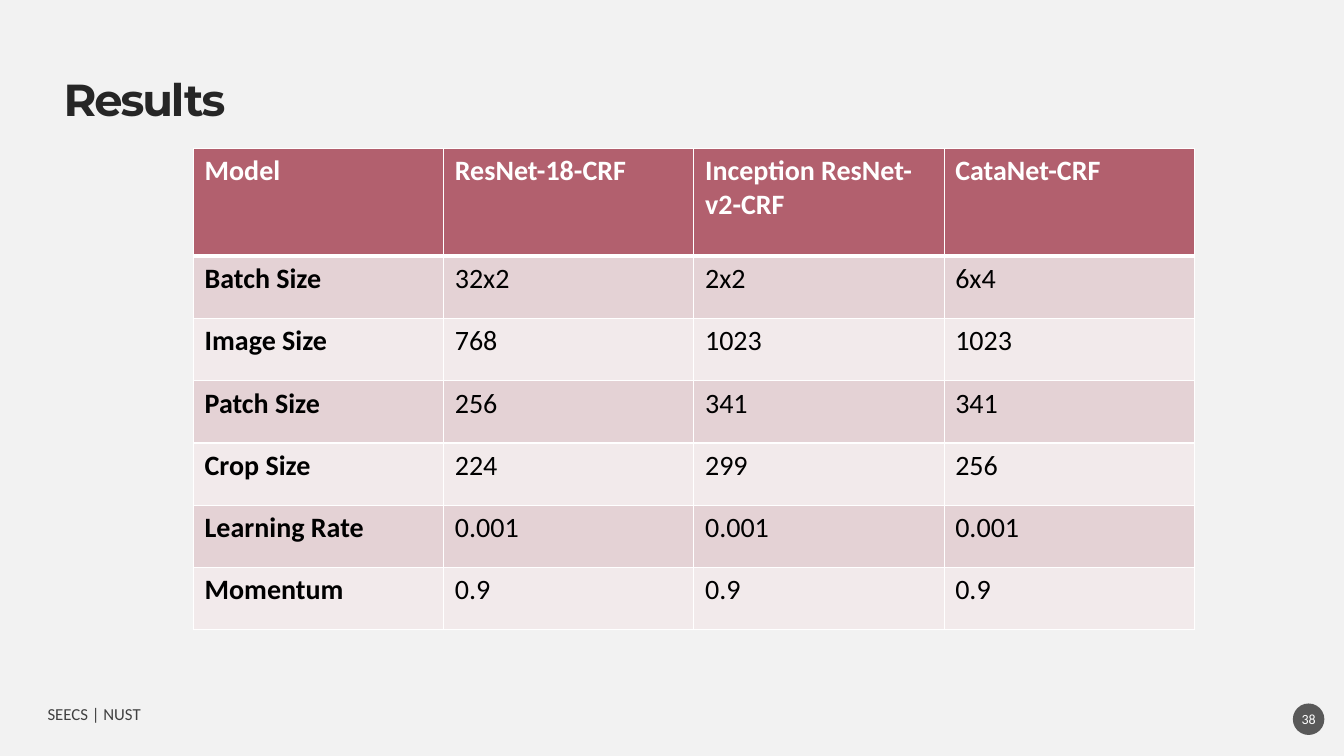
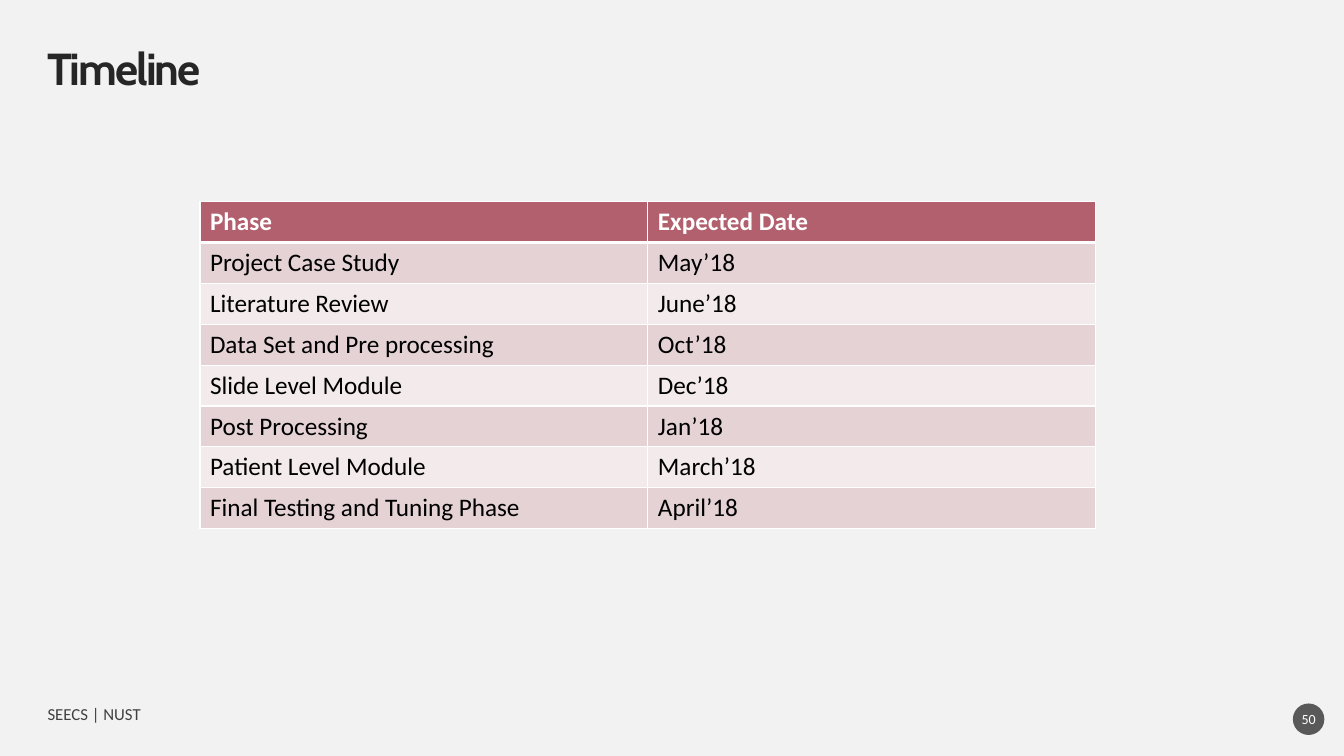
from lxml import etree
from pptx import Presentation
from pptx import util as u
from pptx.dml.color import RGBColor
from pptx.enum import shapes, text
from pptx.oxml import ns

COLORS = {
    "background": "F2F2F2",
    "title": "262626",
    "footer": "404040",
    "badge": "595959",
    "header": "B2606E",
    "band_dark": "E4D2D5",
    "band_light": "F2EAEB",
    "body": "000000",
    "white": "FFFFFF",
}
BODY_FONT = "Calibri"

MODEL_ROWS = [
    ["Model", "ResNet-18-CRF", "Inception ResNet-v2-CRF", "CataNet-CRF"],
    ["Batch Size", "32x2", "2x2", "6x4"],
    ["Image Size", "768", "1023", "1023"],
    ["Patch Size", "256", "341", "341"],
    ["Crop Size", "224", "299", "256"],
    ["Learning Rate", "0.001", "0.001", "0.001"],
    ["Momentum", "0.9", "0.9", "0.9"],
]
TIMELINE_ROWS = [
    ["Phase", "Expected Date"],
    ["Project Case Study", "May’18"],
    ["Literature Review", "June’18"],
    ["Data Set and Pre processing", "Oct’18"],
    ["Slide Level Module", "Dec’18"],
    ["Post Processing", "Jan’18"],
    ["Patient Level Module", "March’18"],
    ["Final Testing and Tuning Phase", "April’18"],
]


def rgb(name):
    return RGBColor.from_string(COLORS[name])


def points(values):
    return [u.Pt(value) for value in values]


def set_font(para, size, color, name=BODY_FONT, bold=False):
    para.font.name = name
    para.font.size = u.Pt(size)
    para.font.bold = bold
    para.font.color.rgb = rgb(color)


def set_margins(holder, horizontal, vertical):
    holder.margin_left = holder.margin_right = u.Pt(horizontal)
    holder.margin_top = holder.margin_bottom = u.Pt(vertical)


def write(shape, words, inset=0, anchor=text.MSO_ANCHOR.MIDDLE):
    frame = shape.text_frame
    frame.word_wrap = True
    frame.vertical_anchor = anchor
    set_margins(frame, inset, inset)
    para = frame.paragraphs[0]
    para.text = words
    return para


def add_title(page, words, area, font, **placement):
    box = page.shapes.add_textbox(*points(area))
    para = write(box, words, **placement)
    para.line_spacing = 0.9
    set_font(para, 32, "title", font, bold=True)
    para.font._rPr.set("spc", "-150")


def add_footer(page, number):
    box = page.shapes.add_textbox(*points((34, 501, 324, 18)))
    set_font(write(box, "SEECS | NUST"), 12, "footer")

    badge = page.shapes.add_shape(
        shapes.MSO_SHAPE.OVAL, *points((923.5, 502.5, 22.5, 22.5)))
    badge.shadow.inherit = False
    badge.fill.solid()
    badge.fill.fore_color.rgb = rgb("badge")
    badge.line.fill.background()
    para = write(badge, str(number))
    para.alignment = text.PP_ALIGN.CENTER
    set_font(para, 10, "white")


def set_borders(cell, top, bottom):
    props = cell._tc.get_or_add_tcPr()
    for side, width in (("L", 1), ("R", 1), ("T", top), ("B", bottom)):
        line = etree.SubElement(props, ns.qn(f"a:ln{side}"), w=str(u.Pt(width)))
        fill = etree.SubElement(line, ns.qn("a:solidFill"))
        etree.SubElement(fill, ns.qn("a:srgbClr"), val=COLORS["white"])


def row_fill(index):
    if index == 0:
        return "header"
    return "band_dark" if index % 2 else "band_light"


def add_grid(page, rows, left, top, width, header_height, row_height, size,
             margins=(7.2, 3.6), bold_labels=False):
    height = header_height + row_height * (len(rows) - 1)
    frame = page.shapes.add_table(
        len(rows), len(rows[0]), *points((left, top, width, height)))
    grid = frame.table
    for column in grid.columns:
        column.width = u.Pt(width / len(rows[0]))
    for i, values in enumerate(rows):
        grid.rows[i].height = u.Pt(row_height if i else header_height)
        for j, value in enumerate(values):
            cell = grid.cell(i, j)
            set_margins(cell, *margins)
            set_borders(cell, 3 if i == 1 else 1, 3 if i == 0 else 1)
            cell.fill.solid()
            cell.fill.fore_color.rgb = rgb(row_fill(i))
            para = cell.text_frame.paragraphs[0]
            para.text = value
            set_font(para, size, "body" if i else "white",
                     bold=i == 0 or (bold_labels and j == 0))


def add_page(deck, number):
    page = deck.slides.add_slide(deck.slide_layouts[6])
    add_footer(page, number)
    return page


def main():
    deck = Presentation()
    deck.slide_width, deck.slide_height = points((960, 540))
    background = deck.slide_master.background.fill
    background.solid()
    background.fore_color.rgb = rgb("background")

    results = add_page(deck, 38)
    add_title(results, "Results", (36, 46, 894, 60.5), "Montserrat",
              inset=9.4, anchor=text.MSO_ANCHOR.TOP)
    add_grid(results, MODEL_ROWS, 138.2, 106, 715, 77, 44.5, 20,
             margins=(8, 4), bold_labels=True)

    timeline = add_page(deck, 50)
    add_title(timeline, "Timeline", (34, 34, 892, 34), "Cabin")
    add_grid(timeline, TIMELINE_ROWS, 142.8, 144, 640, 29.2, 29.2, 18)

    deck.save("out.pptx")


if __name__ == "__main__":
    main()
